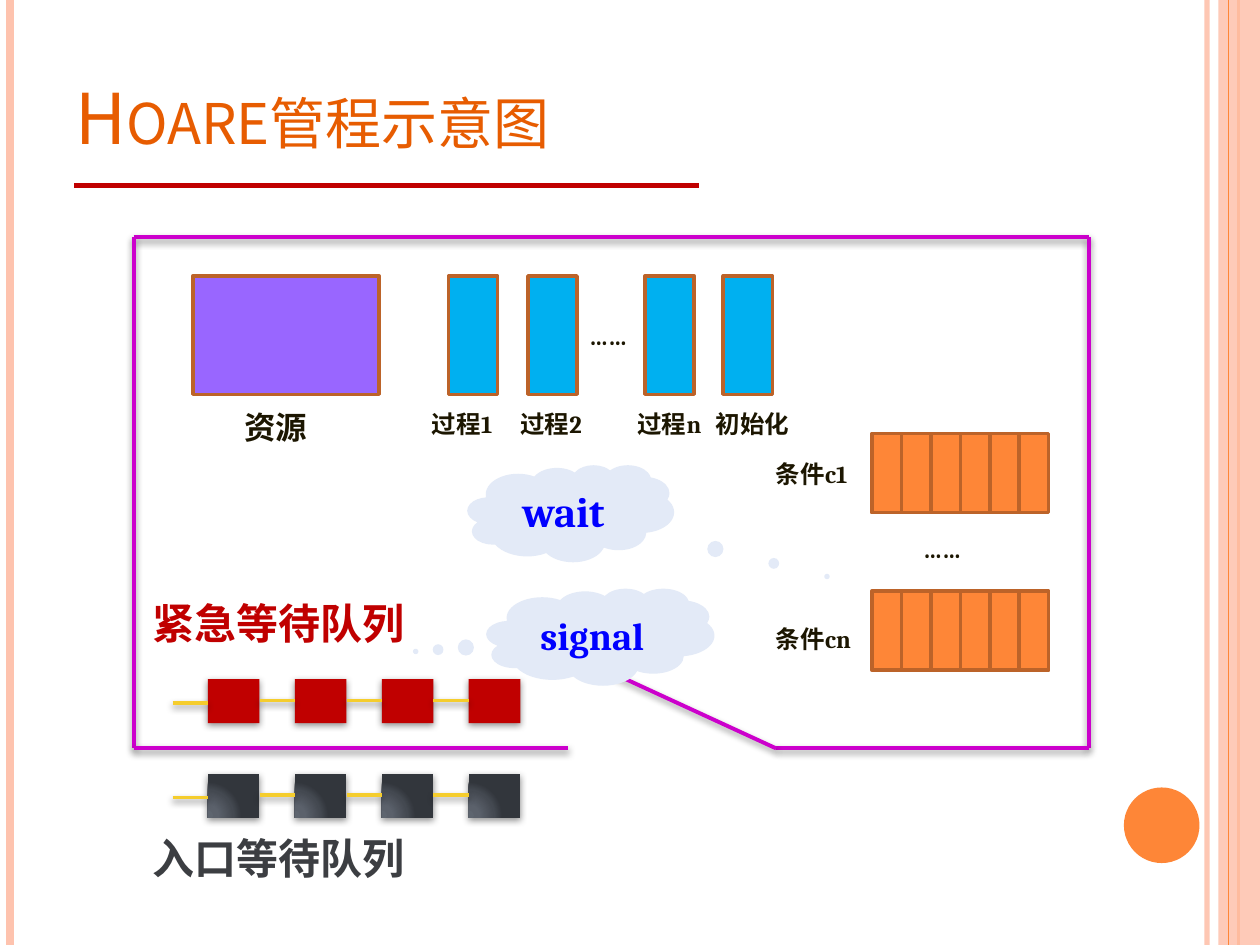
"""Build a slide that shows the structure of a Hoare monitor."""
import dataclasses

import pptx
import pptx.dml.color
import pptx.enum.shapes
import pptx.enum.text
import pptx.oxml
import pptx.oxml.ns
import pptx.util

SHAPE = pptx.enum.shapes.MSO_SHAPE
ANCHOR = pptx.enum.text.MSO_ANCHOR
ALIGN = pptx.enum.text.PP_ALIGN
AUTO_SIZE = pptx.enum.text.MSO_AUTO_SIZE
QN = pptx.oxml.ns.qn
NS = pptx.oxml.ns.nsdecls("a")


@dataclasses.dataclass(frozen=True)
class Theme:
    latin: str = "Cambria"
    cjk: str = "Noto Sans CJK SC"
    title: str = "E75C01"
    ink: str = "1C1601"
    accent: str = "FE8637"
    pale: str = "FEC3AE"
    edge: str = "BC6329"
    red: str = "C00000"
    slate: str = "3C3E42"
    frame: str = "CC00CC"
    link: str = "F5CD2D"
    resource: str = "9966FF"
    procedure: str = "00B0F0"
    cloud: str = "E3EAF7"
    call: str = "0000FF"
    steel: tuple = ((0, "5E656F"), (30, "5B616B"), (75, "444951"), (100, "32363C"))
    title_size: float = 40
    queue_size: float = 24
    resource_size: float = 18
    label_size: float = 14
    wait_size: float = 24
    signal_size: float = 22
    edge_width: float = 2


class Board:
    """Draws styled elements on a slide divided into 100 columns and 75 rows."""

    def __init__(self, theme):
        self.theme = theme
        self.deck = pptx.Presentation()
        self.deck.slide_width = pptx.util.Inches(10)
        self.deck.slide_height = pptx.util.Inches(7.5)
        self.slide = self.deck.slides.add_slide(self.deck.slide_layouts[5])

    def cells(self, *lengths):
        units = (self.deck.slide_width / 100, self.deck.slide_height / 75)
        return [round(n * units[i % 2]) for i, n in enumerate(lengths)]

    def paint(self, fill, color):
        fill.solid()
        fill.fore_color.rgb = pptx.dml.color.RGBColor.from_string(color)

    def fade(self, element, opacity):
        color = next(element.spPr.iter(QN("a:srgbClr")))
        color.append(pptx.oxml.parse_xml(f'<a:alpha {NS} val="{opacity * 1000}"/>'))

    def cast_shadow(self, element, distance, opacity):
        effects = element.spPr.find(QN("a:effectLst"))
        effects.append(pptx.oxml.parse_xml(
            f'<a:outerShdw {NS} blurRad="50800" dist="{round(distance * 12700)}" dir="5400000" '
            f'rotWithShape="0"><a:srgbClr val="000000"><a:alpha val="{opacity * 1000}"/>'
            '</a:srgbClr></a:outerShdw>'))

    def set_words(self, frame, words, size, color, latin, align=ALIGN.LEFT):
        paragraph = frame.paragraphs[0]
        paragraph.text = words
        paragraph.alignment = align
        font = paragraph.font
        font.size = pptx.util.Pt(size)
        font.name = latin
        font.bold = True
        self.paint(font.fill, color)
        properties = paragraph._p.pPr.find(QN("a:defRPr"))
        properties.append(pptx.oxml.parse_xml(f'<a:ea {NS} typeface="{self.theme.cjk}"/>'))
        return properties

    def title(self, words, *box):
        holder = self.slide.shapes.title
        holder.left, holder.top, holder.width, holder.height = self.cells(*box)
        frame = holder.text_frame
        frame.vertical_anchor = ANCHOR.BOTTOM
        frame.auto_size = AUTO_SIZE.NONE
        look = self.set_words(frame, words, self.theme.title_size, self.theme.title, self.theme.cjk)
        look.set("cap", "small")
        frame.paragraphs[0].font.bold = False

    def line(self, ends, color, width, shadow=False, opacity=None):
        line = self.slide.shapes.add_connector(
            pptx.enum.shapes.MSO_CONNECTOR.STRAIGHT, *self.cells(*ends))
        line.line.width = pptx.util.Pt(width)
        self.paint(line.line.fill, color)
        line._element.spPr.append(pptx.oxml.parse_xml(f"<a:effectLst {NS}/>"))
        if shadow:
            self.cast_shadow(line._element, 2, 40)
        if opacity:
            self.fade(line._element, opacity)

    def shape(self, box, color, kind=SHAPE.RECTANGLE, outlined=False, opacity=None):
        shape = self.slide.shapes.add_shape(kind, *self.cells(*box))
        shape.shadow.inherit = False
        self.paint(shape.fill, color)
        if outlined:
            shape.line.width = pptx.util.Pt(self.theme.edge_width)
            self.paint(shape.line.fill, self.theme.edge)
        else:
            shape.line.fill.background()
        if opacity:
            self.fade(shape._element, opacity)
        return shape

    def blend(self, shape, stops):
        colors = "".join(f'<a:gs pos="{at * 1000}"><a:srgbClr val="{color}"/></a:gs>'
                         for at, color in stops)
        properties = shape._element.spPr
        properties.replace(properties.find(QN("a:solidFill")), pptx.oxml.parse_xml(
            f'<a:gradFill {NS} rotWithShape="1"><a:gsLst>{colors}</a:gsLst><a:path path="circle">'
            '<a:fillToRect l="5000" t="100000" r="120000" b="10000"/></a:path></a:gradFill>'))

    def label(self, words, box, size=None, color=None, latin=None, wrap=False):
        frame = self.slide.shapes.add_textbox(*self.cells(*box)).text_frame
        frame.word_wrap = wrap
        frame.auto_size = AUTO_SIZE.SHAPE_TO_FIT_TEXT
        self.set_words(frame, words, size or self.theme.label_size,
                       color or self.theme.ink, latin or self.theme.latin)

    def cloud(self, words, box, tail, size):
        cloud = self.shape(box, self.theme.cloud, SHAPE.CLOUD_CALLOUT)
        for i, reach in enumerate(tail):
            cloud.adjustments[i] = reach
        cloud.text_frame.vertical_anchor = ANCHOR.MIDDLE
        self.set_words(cloud.text_frame, words, size, self.theme.call, self.theme.latin, ALIGN.CENTER)

    def queue(self, top, color, stops=None):
        first, step, width, height = 16.5, 6.9, 4.1, 3.5
        for i in range(4):
            waiting = self.shape((first + i * step, top, width, height), color)
            self.cast_shadow(waiting._element, 1.6, 42)
            if stops:
                self.blend(waiting, stops)
        for i in range(4):
            right = first + i * step
            middle = top + (1.7 if i else 1.9)
            self.line((right - step + width, middle, right, middle), self.theme.link, 2, shadow=True)

    def condition(self, top):
        for i in range(6):
            self.shape((69.2 + i * 2.34, top, 2.34, 6.3), self.theme.accent, outlined=True)


def main():
    theme = Theme()
    board = Board(theme)

    for column, color, width, opacity in ((95.8, theme.pale, 3, 93), (0.8, theme.pale, 4.5, None),
                                          (98.3, theme.accent, 1.5, None)):
        board.line((column, 0, column, 75), color, width, opacity=opacity)
    board.shape((96.7, 0, 3.3, 75), theme.pale, opacity=87)
    board.line((97.5, 0, 97.5, 75), theme.accent, 0.75)
    board.shape((89.2, 62.5, 6, 6), theme.accent, SHAPE.OVAL)
    board.line((5.9, 14.7, 55.5, 14.7), theme.red, 3)
    board.title("Hoare管程示意图", 5, 3, 81.7, 10.1)

    left, top, right, bottom, gate = 10.6, 18.8, 86.4, 59.4, 61.6
    for ends in ((left, top, right, top), (left, top, left, bottom), (right, top, right, bottom),
                 (left, bottom, 45.1, bottom), (gate, bottom, right, bottom),
                 (gate, bottom, 46.4, 52.4)):
        board.line(ends, theme.frame, 2.25, shadow=True)

    board.queue(53.9, theme.red)
    board.queue(61.4, theme.slate, theme.steel)

    board.shape((15.3, 21.9, 14.8, 9.4), theme.resource, outlined=True)
    board.label("资源", (18.4, 31.9, 7.1, 4), theme.resource_size)
    for top in (34.4, 46.9):
        board.condition(top)
    for name, column, text_column, width, wrap in (
            ("过程1", 35.6, 33.3, 7, True), ("过程2", 41.9, 40.3, 7, True),
            ("过程n", 51.2, 49.6, 7.2, True), ("初始化", 57.4, 55.8, 7.9, False)):
        board.shape((column, 21.9, 3.9, 9.4), theme.procedure, outlined=True)
        board.label(name, (text_column, 32, width, 3.4), wrap=wrap)
    board.label("……", (45.8, 25, 6, 3.4))
    board.label("条件c1", (60.6, 35.9, 8.1, 3.4))
    board.label("条件cn", (60.6, 49, 8.2, 3.4), wrap=True)
    board.label("……", (72.3, 41.9, 5.9, 3.4))

    board.cloud("wait", (37.1, 36.9, 16.4, 7.7), (1.24, 0.65), theme.wait_size)
    for name, top, color in (("入口等待队列", 65.6, theme.slate), ("紧急等待队列", 46.9, theme.red)):
        board.label(name, (11.1, top, 22.2, 5.1), theme.queue_size, color, theme.cjk)
    board.cloud("signal", (38.6, 46.7, 18.1, 7.7), (-0.81, 0.15), theme.signal_size)

    board.deck.save("out.pptx")


if __name__ == "__main__":
    main()
